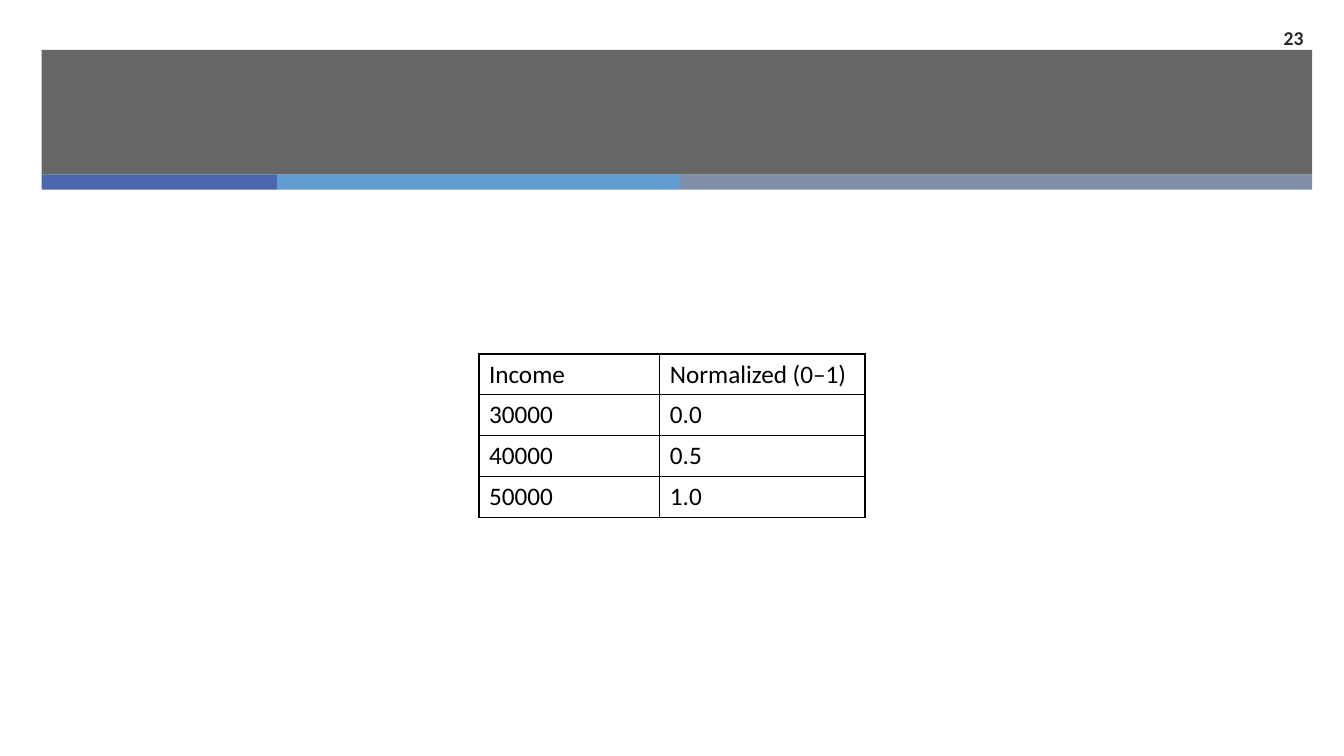
from dataclasses import dataclass

from lxml.etree import SubElement
from pptx import Presentation
from pptx.dml.color import RGBColor
from pptx.enum.shapes import MSO_SHAPE as Preset
from pptx.enum.text import MSO_ANCHOR as Anchor, PP_ALIGN as Align
from pptx.oxml.ns import qn
from pptx.util import Cm, Pt


@dataclass(frozen=True)
class Theme:
    font: str = "Calibri"
    dark: str = "262626"
    ink: str = "000000"
    stripes: tuple = ("4A66AC", "629DD1", "7F8FA9")
    table_size: int = 18
    number_size: int = 14
    band_opacity: int = 70
    border_width: int = 1


THEME = Theme()
ROWS = [
    ("Income", "Normalized (0–1)"),
    ("30000", "0.0"),
    ("40000", "0.5"),
    ("50000", "1.0"),
]


def write_text(frame, text, size, color=THEME.ink, bold=False, align=Align.LEFT):
    paragraph = frame.paragraphs[0]
    paragraph.alignment = align
    run = paragraph.add_run()
    run.text = text
    run.font.name = THEME.font
    run.font.size = Pt(size)
    run.font.bold = bold
    run.font.color.rgb = RGBColor.from_string(color)


def add_block(slide, left, top, width, height, color, opacity=100):
    shape = slide.shapes.add_shape(
        Preset.RECTANGLE, Cm(left), Cm(top), Cm(width), Cm(height))
    shape.shadow.inherit = False
    shape.line.fill.background()
    shape.fill.solid()
    shape.fill.fore_color.rgb = RGBColor.from_string(color)
    if opacity < 100:
        fill_color = shape.fill._xPr.find(".//" + qn("a:srgbClr"))
        SubElement(fill_color, qn("a:alpha"), val=str(opacity * 1000))


def add_title_band(slide, left, top, width, height):
    """Draw the translucent band with its three-colour stripe along the bottom."""
    stripe_height = 0.38
    stripe_top = top + height - stripe_height
    add_block(slide, left, top, width, height - stripe_height,
              THEME.dark, THEME.band_opacity)
    first, second = 5.93, 10.16
    stripe_widths = (first, second, width - first - second)
    for stripe_width, color in zip(stripe_widths, THEME.stripes):
        add_block(slide, left, stripe_top, stripe_width, stripe_height, color)
        left += stripe_width


def set_borders(cell):
    properties = cell._tc.get_or_add_tcPr()
    for side in ("lnL", "lnR", "lnT", "lnB"):
        line = SubElement(properties, qn("a:" + side),
                          w=str(Pt(THEME.border_width)))
        fill = SubElement(line, qn("a:solidFill"))
        SubElement(fill, qn("a:srgbClr"), val=THEME.ink)


def add_income_table(slide, left, top, column_widths, row_height):
    table = slide.shapes.add_table(
        len(ROWS), len(column_widths), Cm(left), Cm(top),
        Cm(sum(column_widths)), Cm(row_height * len(ROWS))).table
    table.first_row = table.horz_banding = False
    for column, width in zip(table.columns, column_widths):
        column.width = Cm(width)
    for row, values in zip(table.rows, ROWS):
        for cell, value in zip(row.cells, values):
            set_borders(cell)
            cell.fill.background()
            cell.vertical_anchor = Anchor.MIDDLE
            write_text(cell.text_frame, value, THEME.table_size)


def add_slide_number(slide, left, top, width, height):
    frame = slide.shapes.add_textbox(
        Cm(left), Cm(top), Cm(width), Cm(height)).text_frame
    frame.word_wrap = True
    frame.vertical_anchor = Anchor.MIDDLE
    write_text(frame, "23", THEME.number_size, color=THEME.dark,
               bold=True, align=Align.RIGHT)


def main():
    presentation = Presentation()
    presentation.slide_width = Cm(33.87)
    presentation.slide_height = Cm(19.05)
    slide = presentation.slides.add_slide(presentation.slide_layouts[6])
    add_title_band(slide, left=1.05, top=1.26, width=32.02, height=3.52)
    add_income_table(slide, left=12.07, top=8.92,
                     column_widths=(4.56, 5.17), row_height=1.03)
    add_slide_number(slide, left=30.76, top=0.46, width=2.34, height=0.99)
    presentation.save("out.pptx")


if __name__ == "__main__":
    main()
